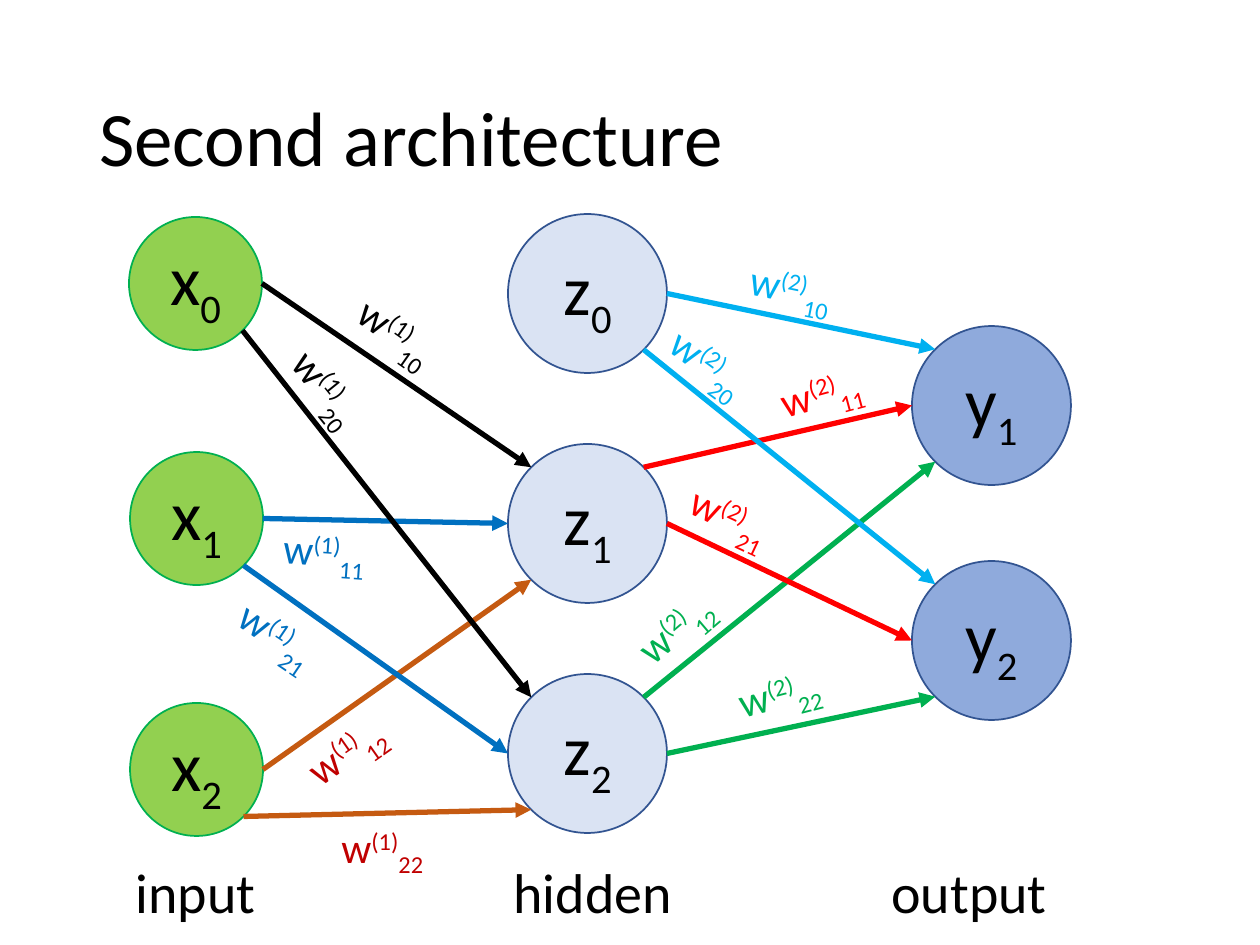
import math

import pptx
import pptx.dml.color
import pptx.enum.dml
import pptx.enum.shapes
import pptx.enum.text
import pptx.oxml
import pptx.oxml.ns
import pptx.util
from lxml import etree

SCALE = 914400 // 126
RIGHT, LOWER_RIGHT, LOWER_LEFT, LEFT, UPPER_LEFT, UPPER_RIGHT = 0, 45, 135, 180, 225, 315
BLACK, BLUE, BROWN, DARK_RED = "000000", "0070C0", "C55A11", "C00000"
RED, CYAN, GREEN = "FF0000", "00B0F0", "00B050"

# layer: fill, outline, diameter, {name: (left, top)}
LAYERS = [
    ("92D050", GREEN, 133, {"x0": (129, 217), "x1": (130, 452), "x2": (130, 703)}),
    ("DAE3F3", "325491", 159, {"z0": (508, 214), "z1": (508, 444), "z2": (508, 674)}),
    ("8FAADC", "325491", 159, {"y1": (912, 326), "y2": (912, 561)}),
]

# start, side, end, side, arrow colour, label colour, label left, top, turn
WEIGHTS = [
    ("x0", RIGHT, "z1", UPPER_LEFT, BLACK, BLACK, 343, 302, 35.1),
    ("x1", RIGHT, "z1", LEFT, BLUE, BLUE, 271, 519, 4.1),
    ("x2", RIGHT, "z1", LOWER_LEFT, BROWN, DARK_RED, 290, 716, 324.9),
    ("z1", UPPER_RIGHT, "y1", LEFT, RED, RED, 767, 359, 344.9),
    ("z0", RIGHT, "y1", UPPER_LEFT, CYAN, CYAN, 738, 256, 11.4),
    ("z2", RIGHT, "y2", LOWER_LEFT, GREEN, GREEN, 725, 660, 345.6),
    ("z2", UPPER_RIGHT, "y1", LOWER_LEFT, GREEN, GREEN, 619, 593, 319.7),
    ("z1", RIGHT, "y2", LEFT, RED, RED, 677, 486, 25.4),
    ("z0", LOWER_RIGHT, "y2", UPPER_LEFT, CYAN, CYAN, 655, 333, 36.3),
    ("x0", LOWER_RIGHT, "z2", UPPER_LEFT, BLACK, BLACK, 273, 359, 51.2),
    ("x1", LOWER_RIGHT, "z2", LEFT, BLUE, BLUE, 224, 605, 34),
    ("x2", LOWER_RIGHT, "z2", LOWER_LEFT, BROWN, DARK_RED, 329, 815, 0),
]


def px(*lengths):
    """Turn picture pixels into EMU."""
    return [pptx.util.Emu(round(length * SCALE)) for length in lengths]


def paint(target, colour):
    """Give a fill, or the fill of a line or font, a solid colour."""
    target.solid()
    target.fore_color.rgb = pptx.dml.color.RGBColor.from_string(colour)


def add_span(para, text, size=24, colour=BLACK, baseline=0):
    """Append one formatted run, raised or lowered by a percentage."""
    span = para.add_run()
    span.text = text
    span.font.name = "Calibri"
    span.font.size = pptx.util.Pt(size)
    paint(span.font.fill, colour)
    if baseline:
        span._r.get_or_add_rPr().set("baseline", str(baseline * 1000))


def add_text_box(page, box, wrap=False):
    """Add a text box and return it with its first paragraph."""
    text_box = page.shapes.add_textbox(*px(*box))
    text_box.text_frame.word_wrap = wrap
    return text_box, text_box.text_frame.paragraphs[0]


def add_title(page, box, text):
    """Write the slide title, centred vertically in its box."""
    title, para = add_text_box(page, box, wrap=True)
    title.text_frame.vertical_anchor = pptx.enum.text.MSO_ANCHOR.MIDDLE
    para.line_spacing = 0.9
    add_span(para, text, size=44)


def add_layer_names(page, box, names, step):
    """Write the layer names on one line, at equal tab stops."""
    para = add_text_box(page, box)[1]
    stops = etree.SubElement(para._p.get_or_add_pPr(), pptx.oxml.ns.qn("a:tabLst"))
    for index in range(1, len(names)):
        etree.SubElement(stops, pptx.oxml.ns.qn("a:tab"),
                         pos=str(px(step * index)[0]), algn="l")
    add_span(para, "\t".join(names), size=32)


def add_node(page, box, name, fill, outline):
    """Draw a neuron with its subscripted name."""
    node = page.shapes.add_shape(pptx.enum.shapes.MSO_SHAPE.OVAL, *px(*box))
    node.shadow.inherit = False
    paint(node.fill, fill)
    paint(node.line.fill, outline)
    node.line.width = pptx.util.Pt(1)
    node.text_frame.vertical_anchor = pptx.enum.text.MSO_ANCHOR.MIDDLE
    para = node.text_frame.paragraphs[0]
    para.alignment = pptx.enum.text.PP_ALIGN.CENTER
    add_span(para, name[0], size=40)
    add_span(para, name[1], size=40, baseline=-25)


def rim_point(box, angle):
    """Return the point on a circle's rim at a clockwise angle from the right."""
    left, top, width, height = box
    turn = math.radians(angle)
    return (left + width / 2 * (1 + math.cos(turn)),
            top + height / 2 * (1 + math.sin(turn)))


def add_arrow(page, start, end, colour):
    """Draw a straight arrow between two points."""
    arrow = page.shapes.add_connector(
        pptx.enum.shapes.MSO_CONNECTOR.STRAIGHT, *px(*start, *end))
    paint(arrow.line.fill, colour)
    arrow.line.width = pptx.util.Pt(3)
    etree.SubElement(arrow.line._get_or_add_ln(),
                     pptx.oxml.ns.qn("a:tailEnd"), type="triangle")
    etree.SubElement(arrow._element.spPr, pptx.oxml.ns.qn("a:effectLst"))


def add_weight_label(page, box, stage, indices, colour, turn):
    """Write a weight with its stage above and its indices below."""
    label, para = add_text_box(page, box)
    label.rotation = turn
    add_span(para, "w", colour=colour)
    add_span(para, f"({stage})", colour=colour, baseline=30)
    add_span(para, indices, colour=colour, baseline=-25)


def add_network(page, box):
    """Draw the neurons, then the weighted arrows between them."""
    left, top = box[:2]
    nodes = {}
    for fill, outline, size, places in LAYERS:
        for name, (x, y) in places.items():
            nodes[name] = (left + x, top + y, size, size)
            add_node(page, nodes[name], name, fill, outline)
    for start, out_side, end, in_side, colour, _, _, _, _ in WEIGHTS:
        add_arrow(page, rim_point(nodes[start], out_side),
                  rim_point(nodes[end], in_side), colour)
    for start, _, end, _, _, colour, x, y, turn in WEIGHTS:
        stage = 1 if start[0] == "x" else 2
        add_weight_label(page, (left + x, top + y, 116, 63), stage,
                         end[1] + start[1], colour, turn)


def main():
    """Build the slide and save it."""
    deck = pptx.Presentation()
    deck.slide_width, deck.slide_height = px(1260, 945)
    page = deck.slides.add_slide(deck.slide_layouts[6])
    add_layer_names(page, (123, 851, 1070, 81), ["input", "hidden", "output"], 378)
    add_title(page, (87, 50, 1086, 183), "Second architecture")
    add_network(page, (0, 0, 1260, 945))
    deck.save("out.pptx")


main()
